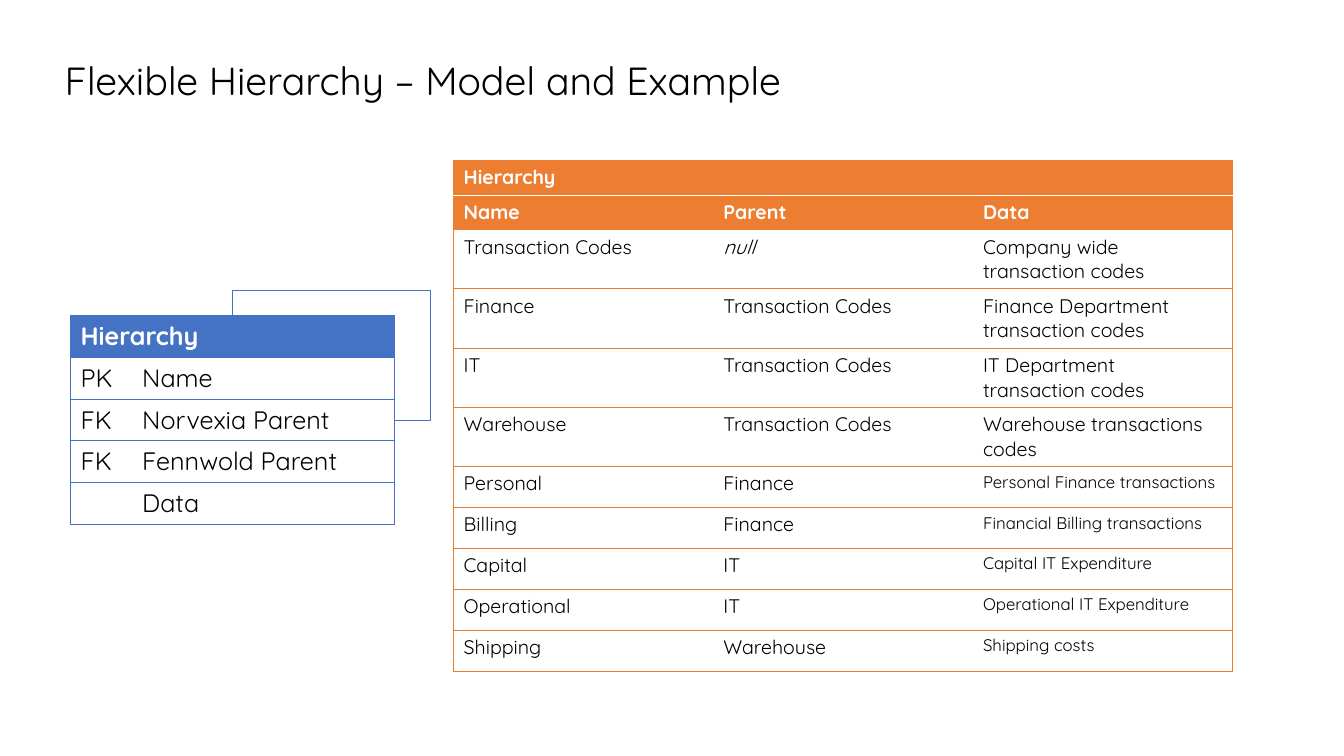
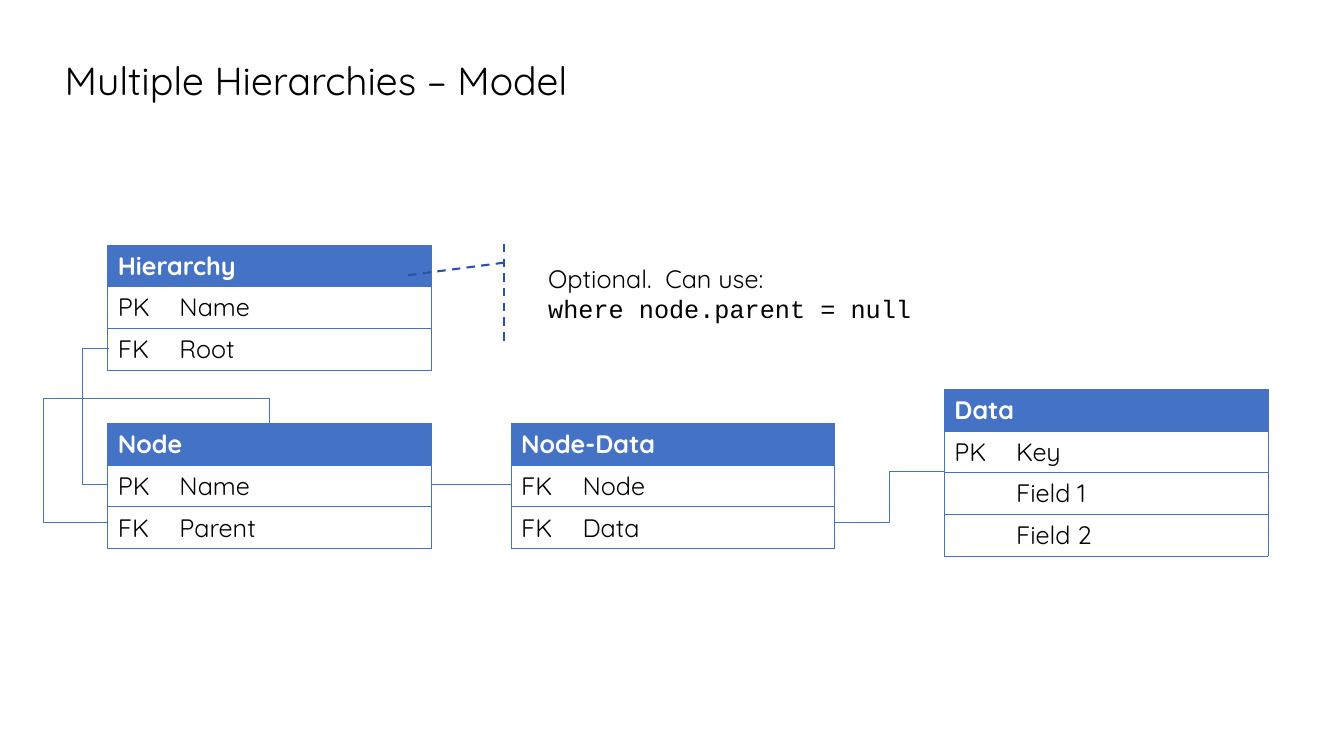
from pptx import Presentation
from pptx.dml.color import RGBColor
from pptx.enum.dml import MSO_LINE as Dash
from pptx.enum.shapes import MSO_CONNECTOR as Link, MSO_SHAPE as Shape
from pptx.enum.text import MSO_ANCHOR as Anchor, PP_ALIGN as Align
from pptx.oxml import parse_xml
from pptx.oxml.ns import nsdecls, qn
from pptx.util import Pt
from lxml.etree import SubElement

BLUE = RGBColor(0x44, 0x72, 0xC4)
NAVY = RGBColor(0x26, 0x54, 0xAC)
ORANGE = RGBColor(0xED, 0x7D, 0x31)
WHITE = RGBColor(0xFF, 0xFF, 0xFF)
BLACK = RGBColor(0, 0, 0)
FONT = "Quicksand"
PLAIN = "{2D5ABB26-0587-4C30-8999-92F81FD0307C}"


def grid(slide, x, y, widths, heights, rows, hue=BLUE, size=18, heads=1):
    frame = slide.shapes.add_table(
        len(rows), len(widths), Pt(x), Pt(y), Pt(sum(widths)), Pt(sum(heights)))
    table = frame.table
    table.first_row = table.horz_banding = False
    frame._element.find(".//" + qn("a:tableStyleId")).text = PLAIN
    for col, width in zip(table.columns, widths):
        col.width = Pt(width)
    for row, height in zip(table.rows, heights):
        row.height = Pt(height)
    table.cell(0, 0).merge(table.cell(0, len(widths) - 1))
    for r, row in enumerate(rows):
        head = r < heads
        for c, text in enumerate(row):
            cell = table.cell(r, c)
            edges = {
                "L": hue if c == 0 else None,
                "R": hue if r == 0 or c == len(row) - 1 else None,
                "T": WHITE if head and r > 0 else hue,
                "B": WHITE if r < heads - 1 else hue,
            }
            props = cell._tc.get_or_add_tcPr()
            for side, tint in edges.items():
                if tint is not None:
                    props.append(parse_xml(
                        f'<a:ln{side} {nsdecls("a")} w="6350"><a:solidFill>'
                        f'<a:srgbClr val="{tint}"/></a:solidFill></a:ln{side}>'))
            if head:
                cell.fill.solid()
                cell.fill.fore_color.rgb = hue
            else:
                cell.fill.background()
            cell.text = text
            font = cell.text_frame.paragraphs[0].font
            font.name, font.size, font.bold = FONT, Pt(size), head
            font.color.rgb = WHITE if head else BLACK
    return table


def wire(slide, x1, y1, x2, y2, *turns):
    kind = Link.ELBOW if turns else Link.STRAIGHT
    line = slide.shapes.add_connector(kind, Pt(x1), Pt(y1), Pt(x2), Pt(y2))
    line.line.color.rgb = BLUE
    line.line.width = Pt(0.5)
    props = line._element.spPr
    SubElement(props, qn("a:effectLst"))
    if turns:
        shape = props.find(qn("a:prstGeom"))
        shape.set("prst", f"bentConnector{len(turns) + 2}")
        guides = shape.get_or_add_avLst()
        spans = [(x1, x2), (y1, y2)]
        for n, (turn, (start, end)) in enumerate(zip(turns, spans), 1):
            share = round((turn - start) / (end - start) * 100000)
            SubElement(guides, qn("a:gd"), name=f"adj{n}", fmla=f"val {share}")


deck = Presentation()
deck.slide_width, deck.slide_height = Pt(960), Pt(540)
layout = deck.slide_layouts[5]
title = layout.placeholders[0]
title.left, title.top, title.width, title.height = Pt(39), Pt(39), Pt(762.5), Pt(40.5)

slides = []
for name in ["Flexible Hierarchy – Model and Example", "Multiple Hierarchies – Model"]:
    slide = deck.slides.add_slide(layout)
    slide.shapes.title.text = name
    para = slide.shapes.title.text_frame.paragraphs[0]
    para.alignment, para.line_spacing = Align.LEFT, 0.9
    para.font.name, para.font.size = FONT, Pt(28)
    para.font.color.rgb = BLACK
    slides.append(slide)
first, second = slides

codes = [
    ("Hierarchy", "", ""),
    ("Name", "Parent", "Data"),
    ("Transaction Codes", "null", "Company wide transaction codes"),
    ("Finance", "Transaction Codes", "Finance Department transaction codes"),
    ("IT", "Transaction Codes", "IT Department transaction codes"),
    ("Warehouse", "Transaction Codes", "Warehouse transactions codes"),
    ("Personal", "Finance", "Personal Finance transactions"),
    ("Billing", "Finance", "Financial Billing transactions"),
    ("Capital", "IT", "Capital IT Expenditure"),
    ("Operational", "IT", "Operational IT Expenditure"),
    ("Shipping", "Warehouse", "Shipping costs"),
]
table = grid(first, 324, 114.5, [185.5] * 3, [24.7] * 2 + [42.2] * 4 + [29.25] * 5,
             codes, ORANGE, 14, 2)
table.cell(2, 1).text_frame.paragraphs[0].font.italic = True
for r in range(6, len(codes)):
    table.cell(r, 2).text_frame.paragraphs[0].font.size = Pt(12)

models = [
    (first, 50.4, 225.4, [("Hierarchy", ""), ("PK", "Name"), ("FK", "Norvexia Parent"),
                          ("FK", "Fennwold Parent"), ("", "Data")]),
    (second, 365, 302.4, [("Node-Data", ""), ("FK", "Node"), ("FK", "Data")]),
    (second, 77, 302.4, [("Node", ""), ("PK", "Name"), ("FK", "Parent")]),
    (second, 674.6, 278, [("Data", ""), ("PK", "Key"), ("", "Field 1"), ("", "Field 2")]),
    (second, 77, 175, [("Hierarchy", ""), ("PK", "Name"), ("FK", "Root")]),
]
for slide, x, y, rows in models:
    grid(slide, x, y, [44, 187.2], [29.7] * len(rows), rows)

wire(first, 281.6, 300.2, 165.8, 225.4, 307.6, 207.4)
wire(second, 78, 248.7, 77, 346.2, 59)
wire(second, 365, 346.2, 308.2, 346.2)
wire(second, 77, 373.4, 192.7, 302.4, 31, 284.4)
wire(second, 596.2, 373.4, 674.6, 337, 635.4)

note = second.shapes.add_shape(
    Shape.LINE_CALLOUT_1_ACCENT_BAR, Pt(384.5), Pt(174.2), Pt(305.3), Pt(70.6))
note.shadow.inherit = False
note.fill.background()
note.line.color.rgb = NAVY
note.line.width = Pt(1.5)
note.line.dash_style = Dash.DASH
for n, value in enumerate([0.19, -0.08, 0.32, -0.31]):
    note.adjustments[n] = value
frame = note.text_frame
frame.word_wrap = True
frame.vertical_anchor = Anchor.MIDDLE
frame.text = "Optional.  Can use:\nwhere node.parent = null"
for para, face in zip(frame.paragraphs, [FONT, "Courier New"]):
    para.alignment = Align.LEFT
    para.font.name, para.font.size = face, Pt(18)
    para.font.color.rgb = BLACK

deck.save("out.pptx")
